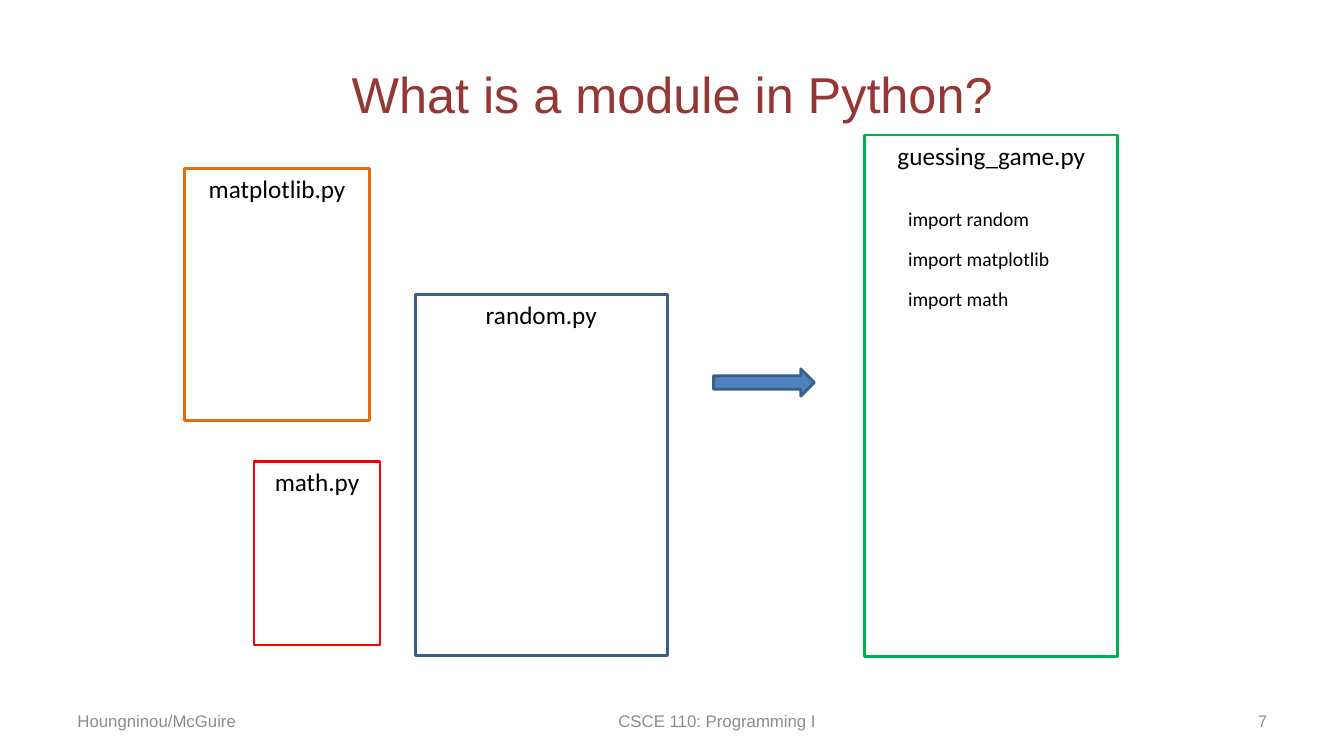
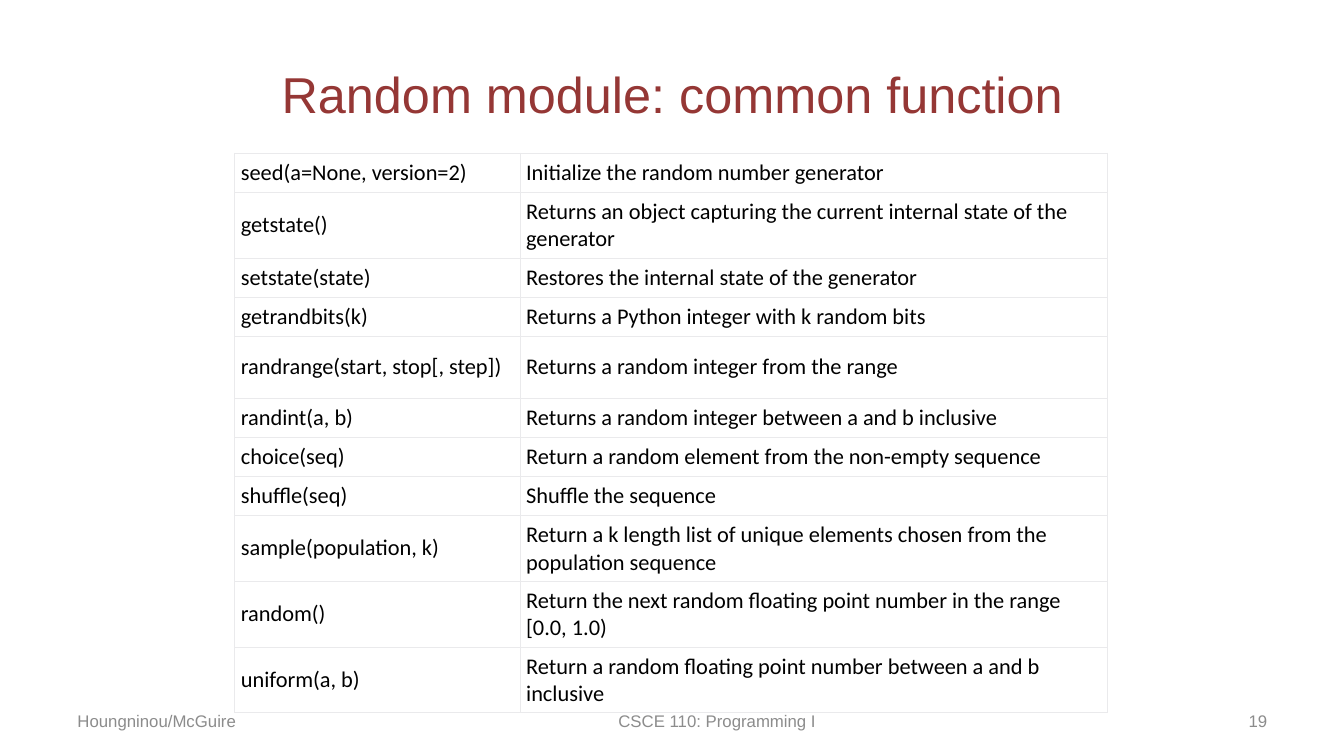
from lxml import etree
from pptx import Presentation
from pptx.dml.color import RGBColor
from pptx.enum import shapes, text
from pptx.oxml import ns
from pptx.util import Inches, Pt

COLORS = {
    "title": "953735", "footer": "8C8C8C", "text": "000000", "white": "FFFFFF",
    "grid": "EAEAEC", "blue": "4F81BD", "navy": "3A5F8C", "green": "00B050",
    "orange": "E46C0A", "red": "FF0000",
}
LEFT, CENTER, RIGHT = text.PP_ALIGN.LEFT, text.PP_ALIGN.CENTER, text.PP_ALIGN.RIGHT
MIDDLE, TOP = text.MSO_ANCHOR.MIDDLE, text.MSO_ANCHOR.TOP

# name, outline colour, box (left, top, width, height)
MODULES = [
    ("random.py", "navy", (4.12, 2.92, 2.5, 3.58)),
    ("guessing_game.py", "green", (8.58, 1.34, 2.51, 5.17)),
    ("matplotlib.py", "orange", (1.83, 1.67, 1.84, 2.5)),
    ("math.py", "red", (2.52, 4.58, 1.25, 1.82)),
]
IMPORTS = ["import random", "import matplotlib", "import math"]

SHORT_ROW, TALL_ROW = 0.36, 0.62
FUNCTIONS = [
    ("seed(a=None, version=2)", "Initialize the random number generator", SHORT_ROW),
    ("getstate()", "Returns an object capturing the current internal state of the generator", TALL_ROW),
    ("setstate(state)", "Restores the internal state of the generator", SHORT_ROW),
    ("getrandbits(k)", "Returns a Python integer with k random bits", SHORT_ROW),
    ("randrange(start, stop[, step])", "Returns a random integer from the range", TALL_ROW),
    ("randint(a, b)", "Returns a random integer between a and b inclusive", SHORT_ROW),
    ("choice(seq)", "Return a random element from the non-empty sequence", SHORT_ROW),
    ("shuffle(seq)", "Shuffle the sequence", SHORT_ROW),
    ("sample(population, k)", "Return a k length list of unique elements chosen from the population sequence", TALL_ROW),
    ("random()", "Return the next random floating point number in the range [0.0, 1.0)", TALL_ROW),
    ("uniform(a, b)", "Return a random floating point number between a and b inclusive", TALL_ROW),
]


def color(name):
    """Return the named colour."""
    return RGBColor.from_string(COLORS[name])


def inches(box):
    """Convert left, top, width and height to lengths."""
    return [Inches(value) for value in box]


def write(text_frame, content, size, font="Calibri", ink="text", align=LEFT, space_after=0):
    """Fill a text frame and format all of its runs."""
    text_frame.text = content
    for paragraph in text_frame.paragraphs:
        paragraph.alignment = align
        paragraph.space_after = Pt(space_after)
        for run in paragraph.runs:
            run.font.size = Pt(size)
            run.font.name = font
            run.font.color.rgb = color(ink)


def add_text(slide, box, content, size, anchor=TOP, **style):
    """Add a wrapping text box."""
    text_frame = slide.shapes.add_textbox(*inches(box)).text_frame
    text_frame.word_wrap = True
    text_frame.vertical_anchor = anchor
    write(text_frame, content, size, **style)


def add_outlined(slide, kind, box, outline, fill=None):
    """Add a preset shape with a 2 pt outline and an optional fill."""
    shape = slide.shapes.add_shape(kind, *inches(box))
    shape.shadow.inherit = False
    shape.line.color.rgb = color(outline)
    shape.line.width = Pt(2)
    if fill:
        shape.fill.solid()
        shape.fill.fore_color.rgb = color(fill)
    else:
        shape.fill.background()
    return shape


def add_module(slide, name, outline, box):
    """Add a file box with its name at the top."""
    shape = add_outlined(slide, shapes.MSO_SHAPE.RECTANGLE, box, outline)
    shape.text_frame.vertical_anchor = TOP
    write(shape.text_frame, name, 18, align=CENTER)


def add_borders(cell):
    """Draw a thin line on all four sides of a cell."""
    properties = cell._tc.get_or_add_tcPr()
    for side in ("a:lnL", "a:lnR", "a:lnT", "a:lnB"):
        line = etree.SubElement(properties, ns.qn(side), w=str(Pt(0.75)))
        fill = etree.SubElement(line, ns.qn("a:solidFill"))
        etree.SubElement(fill, ns.qn("a:srgbClr"), val=COLORS["grid"])


def format_cell(cell, content):
    """Write a cell and set its borders, fill and margins."""
    add_borders(cell)
    cell.fill.solid()
    cell.fill.fore_color.rgb = color("white")
    cell.vertical_anchor = MIDDLE
    cell.margin_left = cell.margin_right = Inches(0.06)
    cell.margin_top = cell.margin_bottom = Inches(0.06)
    write(cell.text_frame, content, 16)


def add_function_table(slide):
    """Add the table of functions and their descriptions."""
    box = (2.33, 1.52, 8.66, sum(row[2] for row in FUNCTIONS))
    table = slide.shapes.add_table(len(FUNCTIONS), 2, *inches(box)).table
    table.first_row = table.horz_banding = False
    for column, width in zip(table.columns, (2.83, 5.83)):
        column.width = Inches(width)
    for row, (function, description, height) in zip(table.rows, FUNCTIONS):
        row.height = Inches(height)
        for cell, content in zip(row.cells, (function, description)):
            format_cell(cell, content)


def add_title(slide, title):
    """Add the slide title."""
    add_text(slide, (0.67, 0.3, 12, 1.25), title, 36, MIDDLE,
             font="Arial", ink="title", align=CENTER)


def add_footer(slide, number):
    """Add authors, course and slide number."""
    for left, width, content, align in (
        (0.67, 3.11, "Houngninou/McGuire", LEFT),
        (4.56, 5.11, "CSCE 110: Programming I", CENTER),
        (9.56, 3.11, str(number), RIGHT),
    ):
        add_text(slide, (left, 6.95, width, 0.4), content, 12, MIDDLE,
                 font="Arial", ink="footer", align=align)


def add_module_diagram(slide):
    """Show modules being imported into a program."""
    for module in MODULES:
        add_module(slide, *module)
    add_outlined(slide, shapes.MSO_SHAPE.RIGHT_ARROW, (7.08, 3.66, 1, 0.27), "navy", "blue")
    add_text(slide, (8.91, 2, 1.92, 1.14), "\n".join(IMPORTS), 14, space_after=12)


def main():
    """Build and save the presentation."""
    presentation = Presentation()
    presentation.slide_width = Inches(40 / 3)
    presentation.slide_height = Inches(7.5)
    for title, number, add_content in (
        ("What is a module in Python?", 7, add_module_diagram),
        ("Random module: common function", 19, add_function_table),
    ):
        slide = presentation.slides.add_slide(presentation.slide_layouts[6])
        add_title(slide, title)
        add_content(slide)
        add_footer(slide, number)
    presentation.save("out.pptx")


main()
